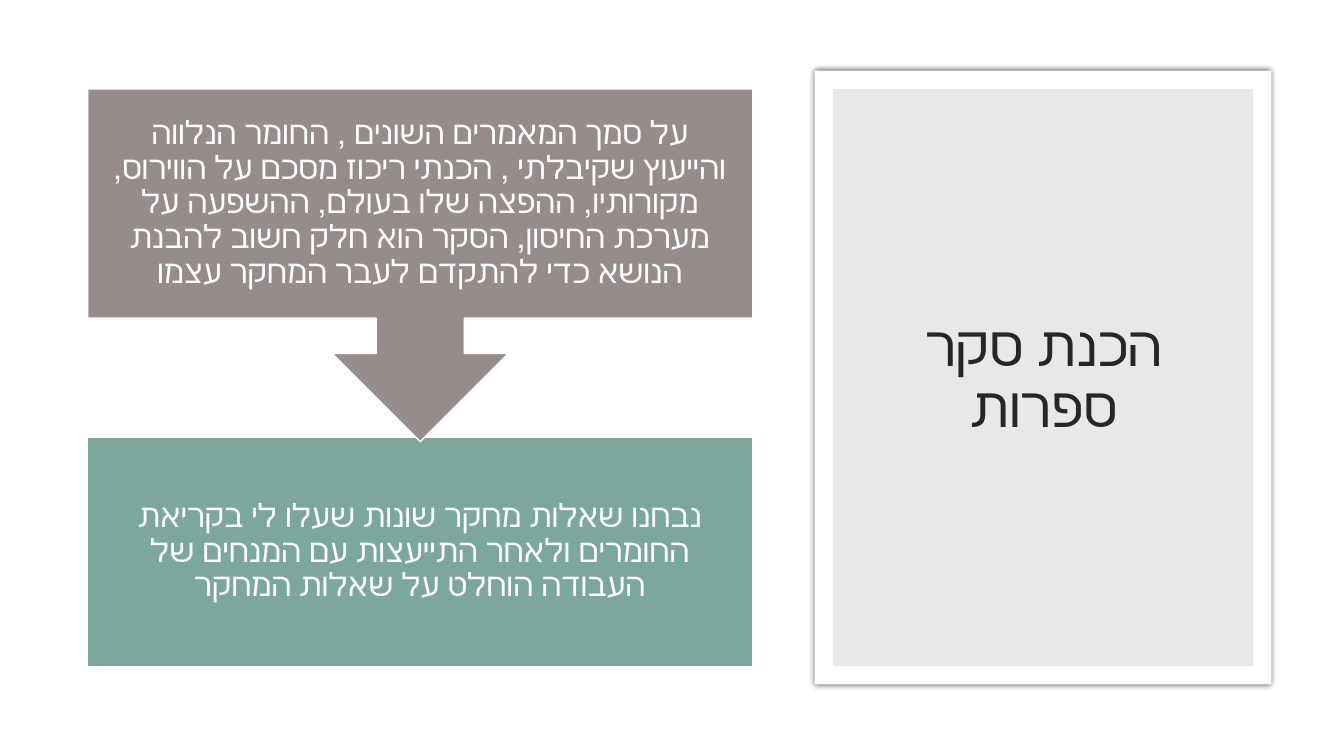
from lxml.etree import SubElement
from pptx import Presentation
from pptx.dml.color import RGBColor
from pptx.enum.lang import MSO_LANGUAGE_ID as Language
from pptx.enum.shapes import MSO_SHAPE as Preset
from pptx.enum.text import MSO_ANCHOR as Anchor, PP_ALIGN as Align
from pptx.oxml.ns import qn
from pptx.util import Cm, Pt

WHITE = RGBColor(0xFF, 0xFF, 0xFF)
PANEL_GRAY = RGBColor(0xD9, 0xD9, 0xD9)
TITLE_INK = RGBColor(0x26, 0x26, 0x26)
TAUPE = RGBColor(0x96, 0x8C, 0x8C)
TEAL = RGBColor(0x7B, 0xA7, 0x9D)

TITLE = "הכנת סקר ספרות"
SURVEY = (
    "על סמך המאמרים השונים , החומר הנלווה והייעוץ שקיבלתי , "
    "הכנתי ריכוז מסכם על הווירוס, מקורותיו, ההפצה שלו בעולם, "
    "ההשפעה על מערכת החיסון, הסקר הוא חלק חשוב להבנת הנושא "
    "כדי להתקדם לעבר המחקר עצמו"
)
QUESTIONS = (
    "נבחנו שאלות מחקר שונות שעלו לי בקריאת החומרים ולאחר "
    "התייעצות עם המנחים של העבודה הוחלט על שאלות המחקר"
)


def write_text(frame, text, *, size, color, font):
    """Write one centred right-to-left paragraph into a text frame."""
    paragraph = frame.paragraphs[0]
    paragraph.alignment = Align.CENTER
    paragraph.line_spacing = 0.9
    paragraph._p.get_or_add_pPr().set("rtl", "1")
    run = paragraph.add_run()
    run.text = text
    run.font.size = Pt(size)
    run.font.name = font
    run.font.color.rgb = color
    run.font.language_id = Language.HEBREW


class SlideBuilder:
    """Hold the slide and its style, and add elements measured in centimetres."""

    font = "Calibri"

    def __init__(self, slide):
        self.slide = slide

    def block(self, box, fill, *, preset=Preset.RECTANGLE, line=None, opacity=None, rotation=0):
        shape = self.slide.shapes.add_shape(preset, *map(Cm, box))
        shape.shadow.inherit = False
        shape.rotation = rotation
        shape.fill.solid()
        shape.fill.fore_color.rgb = fill
        if opacity is not None:
            color = shape._element.spPr.find(qn("a:solidFill"))[0]
            SubElement(color, qn("a:alpha"), val=str(opacity * 1000))
        if line is None:
            shape.line.fill.background()
        else:
            shape.line.color.rgb = line
            shape.line.width = Pt(1)
        return shape

    def glow_shadow(self, shape, *, blur, opacity):
        effects = shape._element.spPr.find(qn("a:effectLst"))
        shadow = SubElement(effects, qn("a:outerShdw"), blurRad=str(Pt(blur)), dist="0", dir="0")
        color = SubElement(shadow, qn("a:srgbClr"), val="000000")
        SubElement(color, qn("a:alpha"), val=str(opacity * 1000))

    def text(self, box, text, *, size, color, inset=None):
        frame = self.slide.shapes.add_textbox(*map(Cm, box)).text_frame
        frame.word_wrap = True
        frame.vertical_anchor = Anchor.MIDDLE
        if inset is not None:
            frame.margin_left = frame.margin_right = Cm(inset)
            frame.margin_top = frame.margin_bottom = Cm(inset)
        write_text(frame, text, size=size, color=color, font=self.font)


def main():
    presentation = Presentation()
    presentation.slide_width, presentation.slide_height = Cm(33.87), Cm(19.05)
    builder = SlideBuilder(presentation.slides.add_slide(presentation.slide_layouts[6]))

    builder.block((0, 0, 33.87, 19.05), WHITE)
    frame = builder.block((20.53, 1.78, 11.51, 15.47), WHITE)
    builder.glow_shadow(frame, blur=4, opacity=66)
    builder.block((20.99, 2.24, 10.59, 14.55), PANEL_GRAY, opacity=60)
    builder.text((21.51, 2.69, 9.6, 13.72), TITLE, size=40, color=TITLE_INK)

    left, width, height = 2.21, 16.76, 5.77
    survey_box = (left, 2.24, width, height)
    questions_box = (left, 11.02, width, height)
    builder.block(questions_box, TEAL, line=WHITE)
    builder.block((left, 2.24, width, 8.89), TAUPE, line=WHITE,
                  preset=Preset.UP_ARROW_CALLOUT, rotation=180)
    for box, text in ((survey_box, SURVEY), (questions_box, QUESTIONS)):
        builder.text(box, text, size=23, color=WHITE, inset=0.46)

    presentation.save("out.pptx")


if __name__ == "__main__":
    main()
